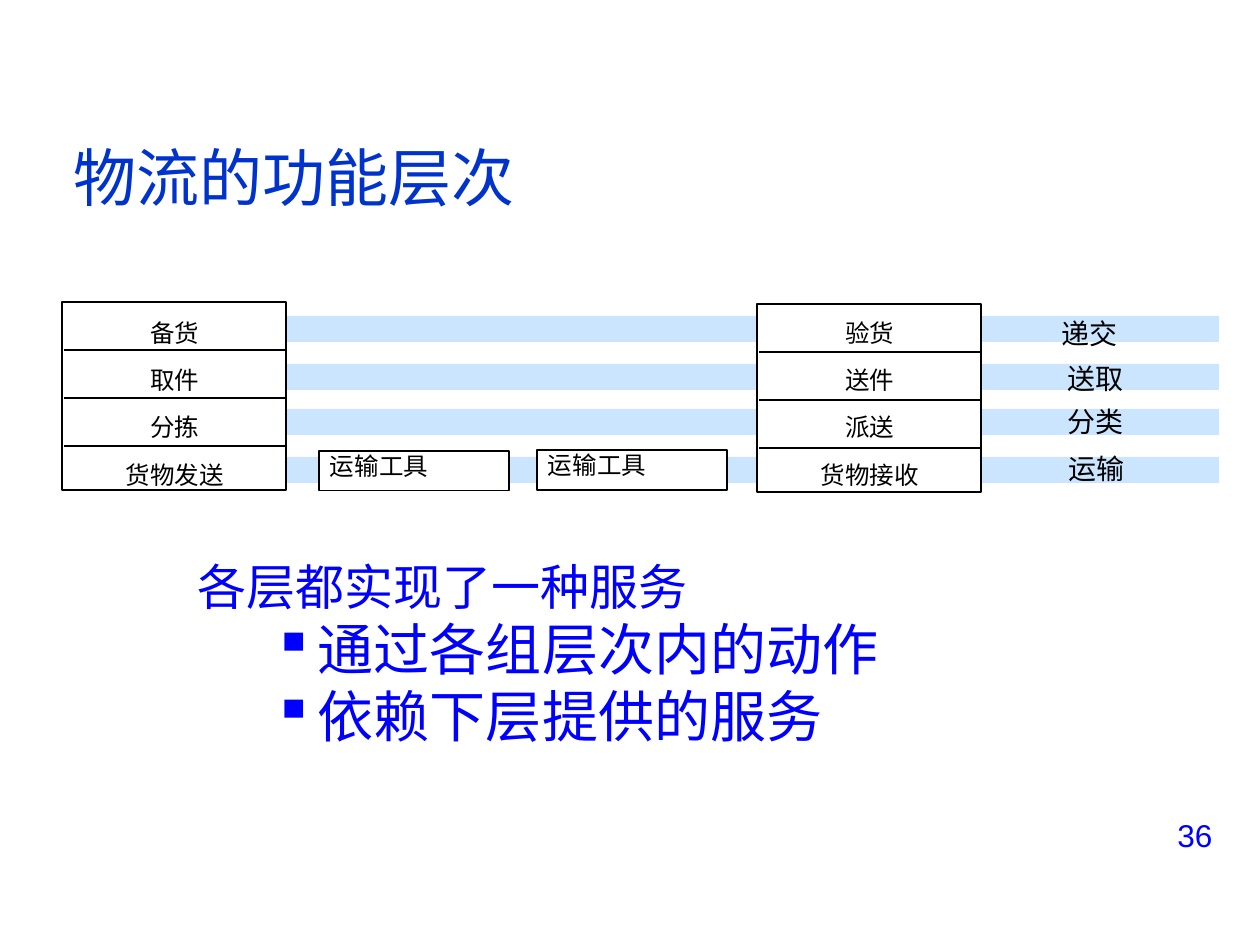
from dataclasses import dataclass

from lxml import etree
from pptx import Presentation
from pptx import util as u
from pptx.dml.color import RGBColor
from pptx.enum import shapes, text
from pptx.oxml.ns import qn

PX = 914400 // 126


@dataclass(frozen=True)
class Theme:
    title: str = "0033CC"
    accent: str = "0000FF"
    ink: str = "000000"
    paper: str = "FFFFFF"
    band: str = "99CCFF"
    title_pt: int = 36
    lead_pt: int = 28
    point_pt: int = 32
    number_pt: int = 18
    service_pt: int = 16
    layer_pt: int = 14
    sans: str = "Arial"
    cjk: str = "Noto Sans CJK SC"
    label: str = "Noto Sans CJK JP"
    comic: str = "Comic Neue"


T = Theme()


def write(p, words, size, color, font, align=text.PP_ALIGN.LEFT, spacing=None):
    p.alignment = align
    p.line_spacing = spacing
    r = p.add_run()
    r.text = words
    r.font.size = u.Pt(size)
    r.font.color.rgb = RGBColor.from_string(color)
    r.font.name = font
    etree.SubElement(r.font._element, qn("a:ea"), typeface=font)


def add_box(left, top, width, height, fill=None, line_pt=0, margins=None):
    """Add a filled rectangle, or a text box when there is no fill."""
    at = [v * PX for v in (left, top, width, height)]
    if fill:
        sp = s.shapes.add_shape(shapes.MSO_SHAPE.RECTANGLE, *at)
        sp.shadow.inherit = False
        sp.fill.solid()
        sp.fill.fore_color.rgb = RGBColor.from_string(fill)
        if line_pt:
            sp.line.color.rgb = RGBColor.from_string(T.ink)
            sp.line.width = u.Pt(line_pt)
        else:
            sp.line.fill.background()
    else:
        sp = s.shapes.add_textbox(*at)
    tf = sp.text_frame
    tf.word_wrap = True
    tf.vertical_anchor = text.MSO_ANCHOR.TOP
    if margins is not None:
        tf.margin_left = tf.margin_right = margins * PX
        tf.margin_top = tf.margin_bottom = margins * PX
    return sp


prs = Presentation()
prs.slide_width, prs.slide_height = u.Inches(10), u.Inches(7.5)
s = prs.slides.add_slide(prs.slide_layouts[5])

# Title
title = s.shapes.title
title.left, title.top, title.width, title.height = [v * PX for v in (73, 123, 1071, 91)]
tf = title.text_frame
tf.margin_left = tf.margin_right = tf.margin_top = tf.margin_bottom = 0
tf.vertical_anchor = text.MSO_ANCHOR.BOTTOM
write(tf.paragraphs[0], "物流的功能层次", T.title_pt, T.title, T.cjk, spacing=u.Pt(26))

# Service bands behind the stacks
for top in (316, 364, 409, 457):
    band = add_box(62, top, 1157, 26, T.band)
    color = band.fill._xPr.find(qn("a:solidFill"))[0]
    etree.SubElement(color, qn("a:alpha"), val="50000")

# Sender and receiver stacks
stacks = [
    (62, 302, ("备货", "取件", "分拣", "货物发送")),
    (757, 304, ("验货", "送件", "派送", "货物接收")),
]
for left, top, layers in stacks:
    add_box(left, top, 224, 188, T.paper, 1.5)
    for i in range(1, len(layers)):
        y = (top + 48 * i) * PX
        line = s.shapes.add_connector(
            shapes.MSO_CONNECTOR.STRAIGHT, (left + 2) * PX, y, (left + 225) * PX, y)
        line.line.color.rgb = RGBColor.from_string(T.ink)
        line.line.width = u.Pt(1.5)
        etree.SubElement(line._element.spPr, qn("a:effectLst"))
    tf = add_box(left - 4, 300, 234, 190, margins=0).text_frame
    for i, layer in enumerate(layers):
        p = tf.add_paragraph() if i else tf.paragraphs[0]
        write(p, layer, T.layer_pt, T.ink, T.label, text.PP_ALIGN.CENTER, u.Pt(27))

# Vehicles on the transport layer
for left, top in ((319, 451), (537, 450)):
    tf = add_box(left, top, 190, 40, T.paper, 0.75).text_frame
    tf.margin_left, tf.margin_top = 11 * PX, 6 * PX
    write(tf.paragraphs[0], "运输工具", T.layer_pt, T.ink, T.sans, spacing=0.8)

# Service names
services = [(1045, 310, "递交"), (1051, 355, "送取"), (1051, 398, "分类"), (1052, 445, "运输")]
for left, top, name in services:
    tf = add_box(left, top, 89, 50).text_frame
    tf.word_wrap = False
    write(tf.paragraphs[0], name, T.service_pt, T.ink, T.sans, text.PP_ALIGN.CENTER)

# Explanation
tf = add_box(198, 549, 827, 237, margins=0).text_frame
write(tf.paragraphs[0], "各层都实现了一种服务", T.lead_pt, T.accent, T.comic, spacing=u.Pt(38))
for point in ("通过各组层次内的动作", "依赖下层提供的服务"):
    p = tf.add_paragraph()
    pPr = p._p.get_or_add_pPr()
    pPr.set("marL", str(120 * PX))
    pPr.set("indent", str(-45 * PX))
    etree.SubElement(pPr, qn("a:buChar"), char="▪")
    write(p, point, T.point_pt, T.accent, T.comic, spacing=u.Pt(38))

# Slide number
tf = add_box(1165, 810, 75, 49).text_frame
write(tf.paragraphs[0], "36", T.number_pt, T.accent, T.sans)

prs.save("out.pptx")
